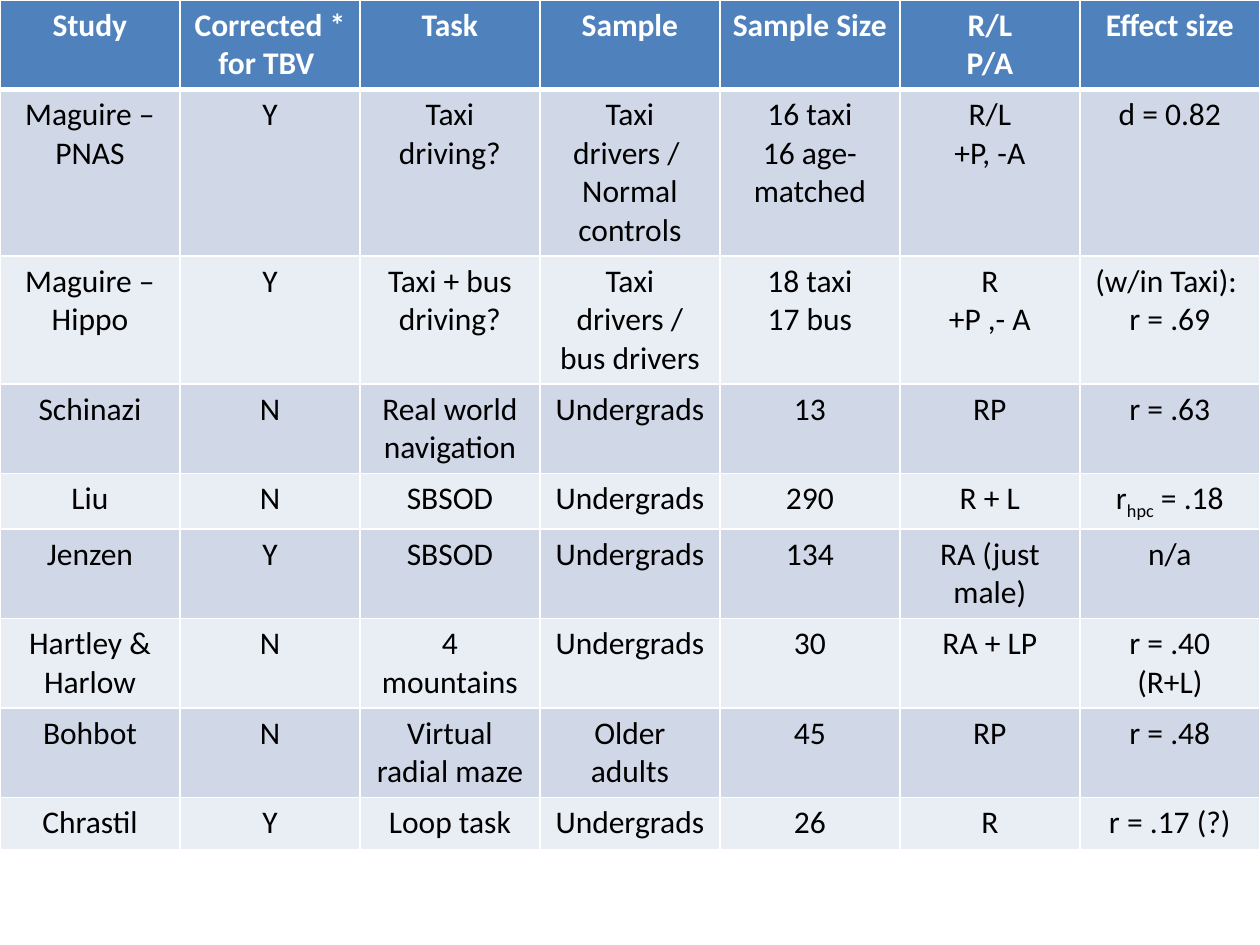
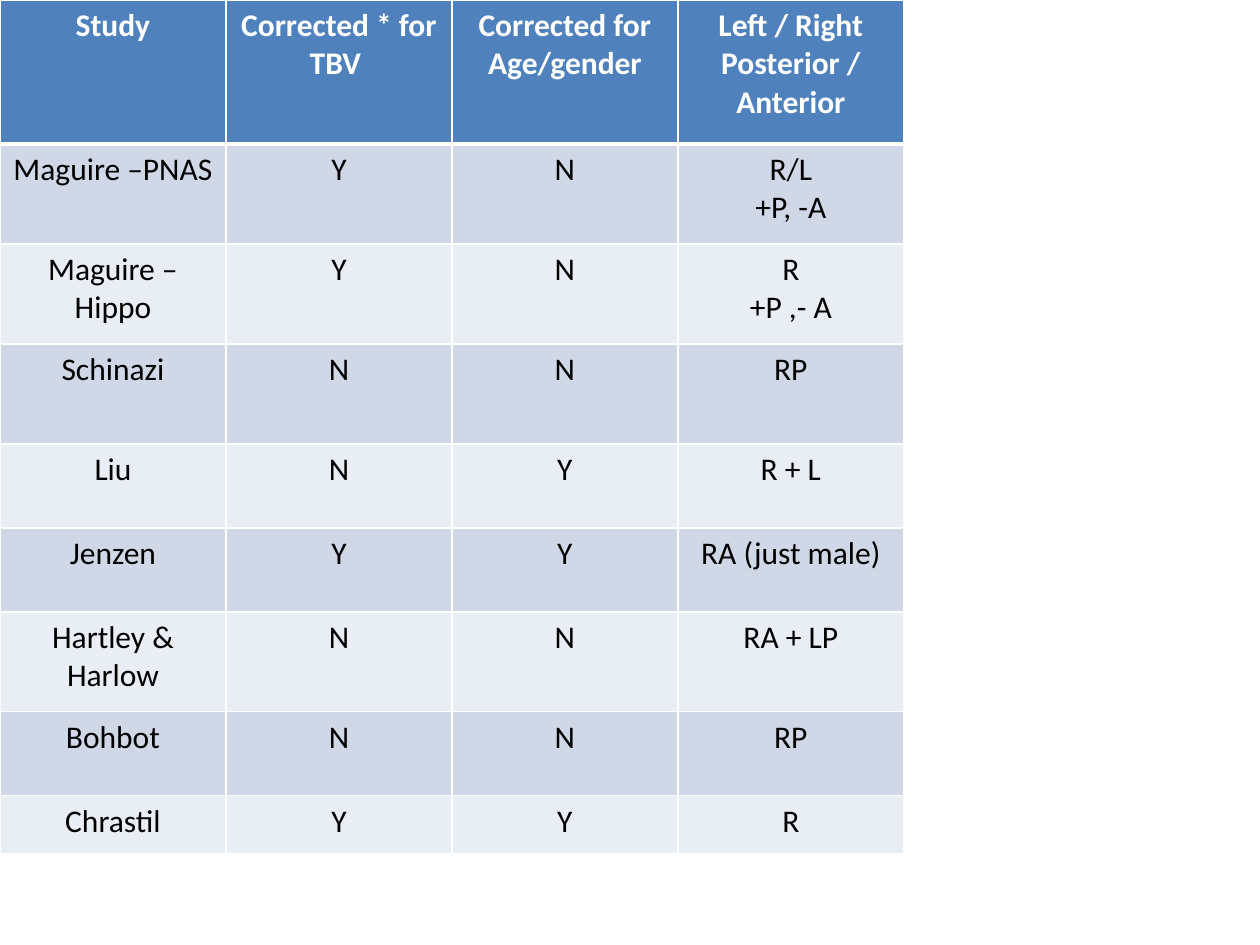
import collections

import pptx
import pptx.dml.color
import pptx.enum.text
import pptx.oxml
import pptx.oxml.ns
import pptx.util

SCALE = 914400 / 126
HEADER, BANDS = "4F81BD", ("E9EDF4", "D0D8E8")
WHITE, BLACK = "FFFFFF", "000000"

Study = collections.namedtuple(
    "Study", "name tbv age_gender task sample size region effect")
STUDIES = [
    Study("Maguire –PNAS", "Y", "N", "Taxi driving?",
          "Taxi drivers / \nNormal controls", "16 taxi\n16 age-matched",
          "R/L\n+P, -A", "d = 0.82"),
    Study("Maguire – Hippo", "Y", "N", "Taxi + bus driving?",
          "Taxi drivers / bus drivers", "18 taxi\n17 bus",
          "R\n+P ,- A", "(w/in Taxi): \nr = .69"),
    Study("Schinazi", "N", "N", "Real world navigation", "Undergrads", "13",
          "RP", "r = .63"),
    Study("Liu", "N", "Y", "SBSOD", "Undergrads", "290", "R + L",
          "r_hpc_ = .18"),
    Study("Jenzen", "Y", "Y", "SBSOD", "Undergrads", "134",
          "RA (just male)", "n/a"),
    Study("Hartley & Harlow", "N", "N", "4 mountains", "Undergrads", "30",
          "RA + LP", "r = .40\n(R+L)"),
    Study("Bohbot", "N", "N", "Virtual radial maze", "Older adults", "45",
          "RP", "r = .48"),
    Study("Chrastil", "Y", "Y", "Loop task", "Undergrads", "26", "R",
          "r = .17 (?)"),
]
METHOD_COLUMNS = {
    "name": "Study", "tbv": "Corrected * for TBV ", "task": "Task",
    "sample": "Sample", "size": "Sample Size", "region": "R/L\nP/A",
    "effect": "Effect size",
}
CORRECTION_COLUMNS = {
    "name": "Study", "tbv": "Corrected * for TBV ",
    "age_gender": "Corrected for Age/gender",
    "region": "Left / Right\nPosterior / Anterior",
}


def px(length):
    return pptx.util.Emu(round(length * SCALE))


def color(value):
    return pptx.dml.color.RGBColor.from_string(value)


class StudyDeck:
    font, size = "Calibri", 18

    def __init__(self):
        self.deck = pptx.Presentation()
        self.deck.slide_width, self.deck.slide_height = px(1260), px(945)
        self.page = None

    def new_page(self):
        self.page = self.deck.slides.add_slide(self.deck.slide_layouts[6])

    def borders(self, cell, top, bottom):
        properties = cell._tc.get_or_add_tcPr()
        for side, points in zip("LRTB", (1, 1, top, bottom)):
            properties.append(pptx.oxml.parse_xml(
                f'<a:ln{side} {pptx.oxml.ns.nsdecls("a")} w="{points * 12700}">'
                f'<a:solidFill><a:srgbClr val="{WHITE}"/></a:solidFill>'
                f'</a:ln{side}>'))

    def text(self, frame, words, ink, bold):
        for number, line in enumerate(words.split("\n")):
            para = frame.add_paragraph() if number else frame.paragraphs[0]
            para.alignment = pptx.enum.text.PP_ALIGN.CENTER
            para.font.name, para.font.size = self.font, pptx.util.Pt(self.size)
            para.font.bold = bold
            para.font.color.rgb = color(ink)
            for position, part in enumerate(line.split("_")):
                span = para.add_run()
                span.text = part
                if position % 2:
                    span.font._element.set("baseline", "-25000")

    def table(self, columns, column_width, row_heights, height):
        rows = [columns.values()]
        rows += [[getattr(study, key) for key in columns] for study in STUDIES]
        box = self.page.shapes.add_table(
            len(rows), len(columns), 0, 0,
            px(column_width * len(columns)), px(height))
        for column in box.table.columns:
            column.width = px(column_width)
        for row, row_height in zip(box.table.rows, row_heights):
            row.height = px(row_height)
        box.height = px(height)
        for number, values in enumerate(rows):
            header = number == 0
            for cell, words in zip(box.table.rows[number].cells, values):
                self.borders(cell, 3 if number == 1 else 1, 3 if header else 1)
                cell.fill.solid()
                cell.fill.fore_color.rgb = color(
                    HEADER if header else BANDS[number % 2])
                self.text(cell.text_frame, words,
                          WHITE if header else BLACK, header)


def main():
    show = StudyDeck()
    show.new_page()
    show.table(METHOD_COLUMNS, 180, [52] * 9, 833)
    show.new_page()
    show.table(CORRECTION_COLUMNS, 226,
               [144, 100, 100, 100, 84, 84, 100, 84, 58], 854)
    show.deck.save("out.pptx")


if __name__ == "__main__":
    main()
